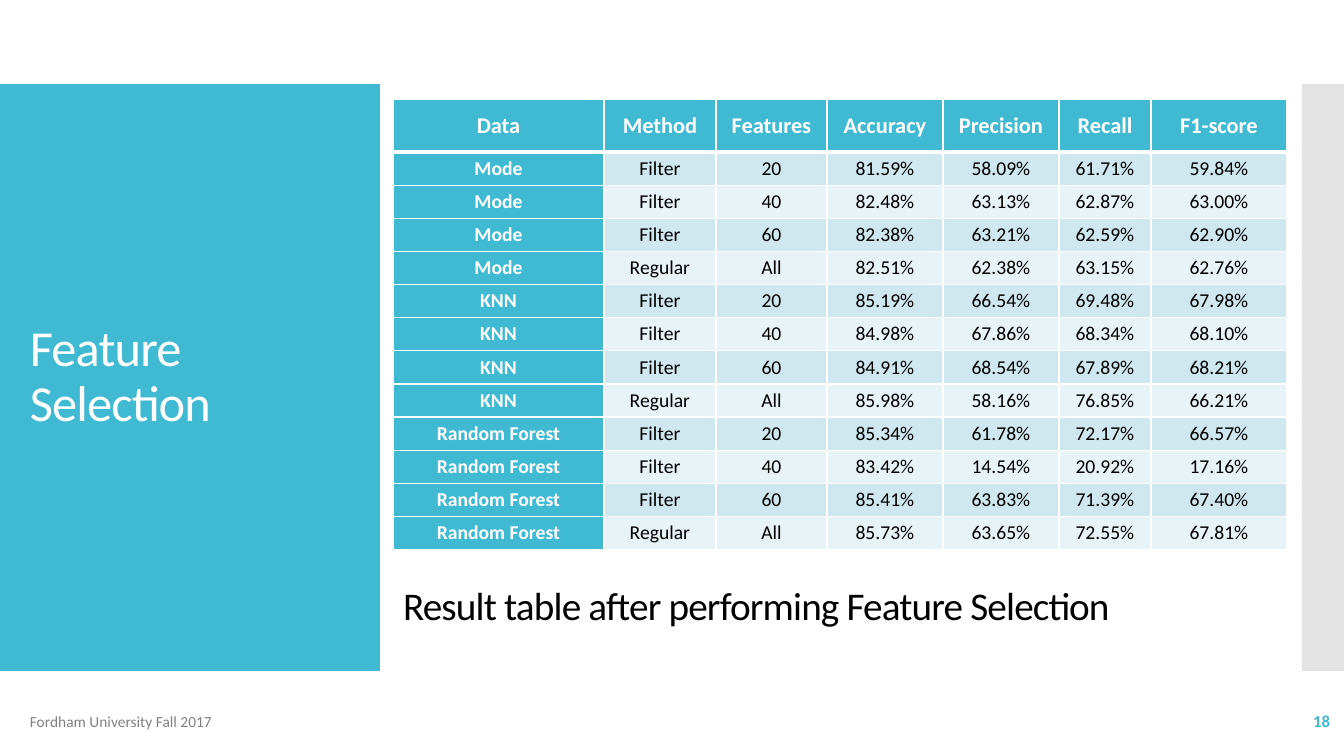
"""Build the feature selection results slide."""
from collections import namedtuple
from dataclasses import dataclass

from lxml import etree
from pptx import Presentation
from pptx import util as u
from pptx.dml.color import RGBColor
from pptx.enum import shapes, text
from pptx.oxml.ns import qn

Box = namedtuple("Box", "left top width height")


@dataclass(frozen=True)
class Theme:
    """Colours, font and type sizes of the slide."""

    font: str = "Calibri"
    accent: str = "40BAD2"
    white: str = "FFFFFF"
    black: str = "000000"
    footer_grey: str = "808080"
    strip_grey: str = "C8C8C8"
    bands: tuple = ("CFE7EE", "E8F3F7")
    heading_size: float = 36
    caption_size: float = 28
    header_size: float = 16
    body_size: float = 14
    number_size: float = 12
    footer_size: float = 11


THEME = Theme()
EMU_PER_PX = 914400 / 100.8
SLIDE_WIDTH, SLIDE_HEIGHT = 1344, 756
COLUMN_WIDTHS = (211, 112, 111, 116, 116, 92, 136)
HEADER_HEIGHT = 53
HEADERS = ("Data", "Method", "Features", "Accuracy", "Precision", "Recall", "F1-score")
DATA_SETS = ("Mode", "KNN", "Random Forest")
SELECTIONS = (("Filter", "20"), ("Filter", "40"), ("Filter", "60"), ("Regular", "All"))
SCORES = (
    ("81.59%", "58.09%", "61.71%", "59.84%"),
    ("82.48%", "63.13%", "62.87%", "63.00%"),
    ("82.38%", "63.21%", "62.59%", "62.90%"),
    ("82.51%", "62.38%", "63.15%", "62.76%"),
    ("85.19%", "66.54%", "69.48%", "67.98%"),
    ("84.98%", "67.86%", "68.34%", "68.10%"),
    ("84.91%", "68.54%", "67.89%", "68.21%"),
    ("85.98%", "58.16%", "76.85%", "66.21%"),
    ("85.34%", "61.78%", "72.17%", "66.57%"),
    ("83.42%", "14.54%", "20.92%", "17.16%"),
    ("85.41%", "63.83%", "71.39%", "67.40%"),
    ("85.73%", "63.65%", "72.55%", "67.81%"),
)


def px(length):
    """Turn pixels into EMU."""
    return u.Emu(round(length * EMU_PER_PX))


def place(box):
    """Return the four EMU lengths of a box."""
    return [px(length) for length in box]


def write(frame, words, size, color, bold=False, align=text.PP_ALIGN.LEFT):
    """Write one formatted paragraph and return it."""
    frame.text = words
    paragraph = frame.paragraphs[0]
    paragraph.alignment = align
    font = paragraph.font
    font.name, font.size, font.bold = THEME.font, u.Pt(size), bold
    font.color.rgb = RGBColor.from_string(color)
    return paragraph


def add_panel(slide, box, color, opacity=100):
    """Add a borderless rectangle."""
    panel = slide.shapes.add_shape(shapes.MSO_SHAPE.RECTANGLE, *place(box))
    panel.shadow.inherit = False
    panel.line.fill.background()
    panel.fill.solid()
    panel.fill.fore_color.rgb = RGBColor.from_string(color)
    if opacity < 100:
        tint = panel._element.spPr.find(".//" + qn("a:srgbClr"))
        etree.SubElement(tint, qn("a:alpha"), val=str(opacity * 1000))


def add_label(slide, box, *args, anchor=text.MSO_ANCHOR.MIDDLE, **kwargs):
    """Add a wrapping text box and return its paragraph."""
    frame = slide.shapes.add_textbox(*place(box)).text_frame
    frame.word_wrap = True
    frame.vertical_anchor = anchor
    return write(frame, *args, **kwargs)


def tighten(paragraph):
    """Give a heading close lines and letters."""
    paragraph.line_spacing = 0.9
    paragraph._p.get_or_add_pPr().get_or_add_defRPr().set("spc", "-60")


def set_caption(slide, box):
    """Place and format the title placeholder below the table."""
    title = slide.shapes.title
    title.left, title.top, title.width, title.height = place(box)
    frame = title.text_frame
    frame.auto_size = text.MSO_AUTO_SIZE.NONE
    frame.word_wrap = True
    frame.vertical_anchor = text.MSO_ANCHOR.BOTTOM
    words = "Result table after performing Feature Selection"
    tighten(write(frame, words, THEME.caption_size, THEME.black))


def set_borders(cell, row):
    """Draw white borders, thicker between header and body."""
    properties = cell._tc.get_or_add_tcPr()
    thick_side = {0: "lnB", 1: "lnT"}.get(row)
    for side in ("lnL", "lnR", "lnT", "lnB"):
        width = u.Pt(3 if side == thick_side else 1)
        line = etree.SubElement(properties, qn(f"a:{side}"), w=str(width))
        fill = etree.SubElement(line, qn("a:solidFill"))
        etree.SubElement(fill, qn("a:srgbClr"), val=THEME.white)


def fill_cell(cell, words, row, column):
    """Write and format one table cell."""
    is_heading = row == 0 or column == 0
    set_borders(cell, row)
    cell.fill.solid()
    color = THEME.accent if is_heading else THEME.bands[(row - 1) % 2]
    cell.fill.fore_color.rgb = RGBColor.from_string(color)
    cell.vertical_anchor = text.MSO_ANCHOR.MIDDLE
    cell.margin_left = cell.margin_right = px(13)
    cell.margin_top = cell.margin_bottom = 0
    write(
        cell.text_frame,
        words,
        THEME.body_size if row else THEME.header_size,
        THEME.white if is_heading else THEME.black,
        bold=is_heading,
        align=text.PP_ALIGN.CENTER,
    )


def add_results(slide, box):
    """Add the table of scores."""
    settings = [(data, *selection) for data in DATA_SETS for selection in SELECTIONS]
    records = [HEADERS] + [a + b for a, b in zip(settings, SCORES)]
    table = slide.shapes.add_table(len(records), len(HEADERS), *place(box)).table
    table.first_row = table.horz_banding = False
    for column, width in zip(table.columns, COLUMN_WIDTHS):
        column.width = px(width)
    body_height = (box.height - HEADER_HEIGHT) / len(SCORES)
    for row, record in enumerate(records):
        table.rows[row].height = px(body_height if row else HEADER_HEIGHT)
        for column, words in enumerate(record):
            fill_cell(table.cell(row, column), words, row, column)


def add_sidebar(slide, box):
    """Add the coloured panel with the section heading."""
    add_panel(slide, box, THEME.accent)
    heading_box = Box(box.left + 20, box.top + 217, 310, 136)
    tighten(add_label(slide, heading_box, "Feature Selection", THEME.heading_size,
                      THEME.white, anchor=text.MSO_ANCHOR.BOTTOM))


def add_footer(slide, box):
    """Add the footer text and the slide number."""
    add_label(slide, box._replace(width=651), "Fordham University Fall 2017",
              THEME.footer_size, THEME.footer_grey)
    number_box = box._replace(left=box.left + box.width - 168, width=168)
    add_label(slide, number_box, "18", THEME.number_size, THEME.accent,
              bold=True, align=text.PP_ALIGN.RIGHT)


def main():
    """Build and save the presentation."""
    presentation = Presentation()
    presentation.slide_width, presentation.slide_height = px(SLIDE_WIDTH), px(SLIDE_HEIGHT)
    slide = presentation.slides.add_slide(presentation.slide_layouts[5])
    add_sidebar(slide, Box(0, 84, 380, 587))
    add_panel(slide, Box(1302, 84, 42, 587), THEME.strip_grey, opacity=50)
    set_caption(slide, Box(393, 550, 895, 84))
    add_results(slide, Box(393, 99, sum(COLUMN_WIDTHS), 451))
    add_footer(slide, Box(20, 701, 1320, 40))
    presentation.save("out.pptx")


if __name__ == "__main__":
    main()
